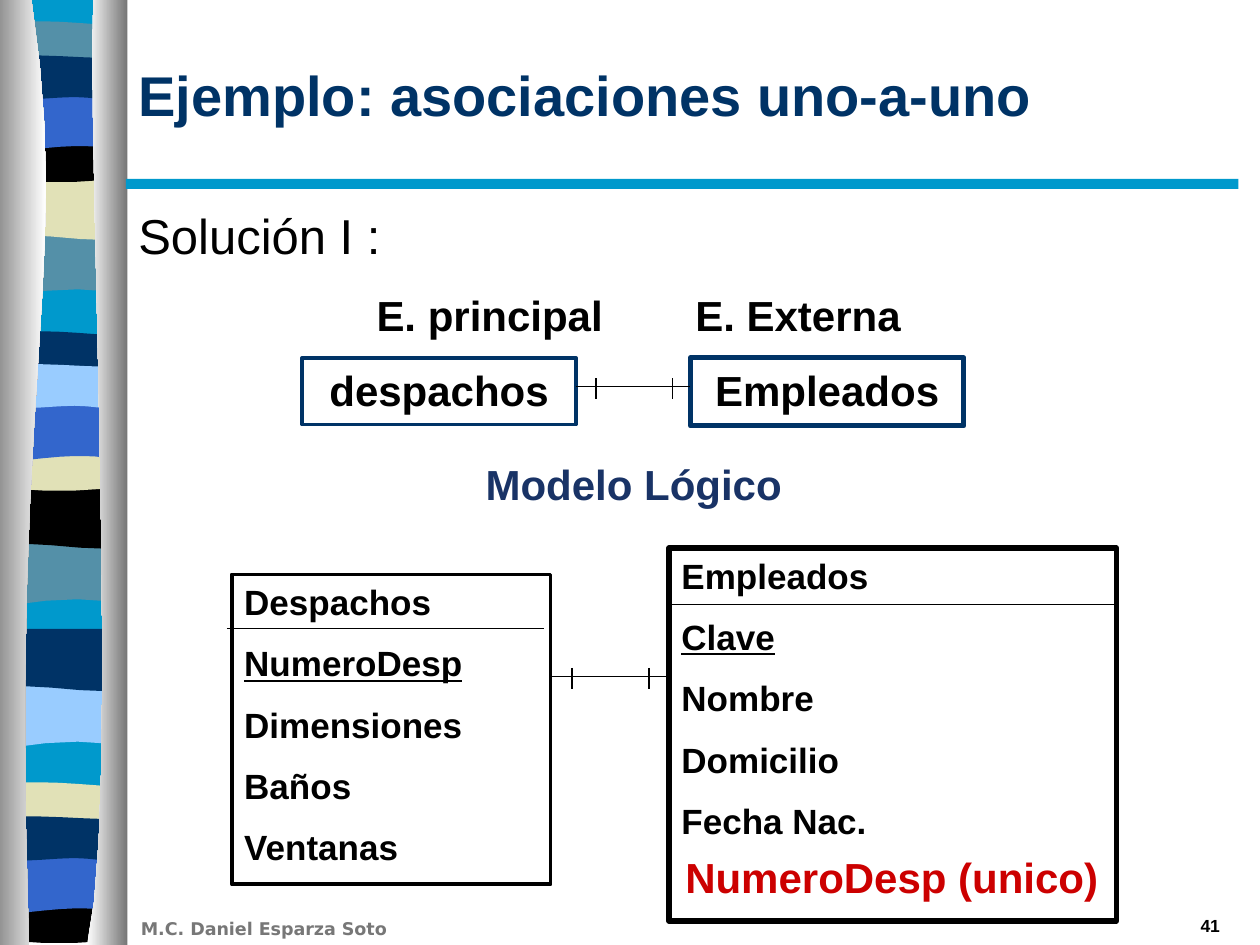
import pptx
import pptx.util
import pptx.dml.color
import pptx.enum.shapes
import pptx.enum.text
import pptx.oxml.ns
import lxml.etree

Inches = pptx.util.Inches
Pt = pptx.util.Pt
ALIGN = pptx.enum.text.PP_ALIGN
ANCHOR = pptx.enum.text.MSO_ANCHOR
RECT = pptx.enum.shapes.MSO_SHAPE.RECTANGLE
STRAIGHT = pptx.enum.shapes.MSO_CONNECTOR.STRAIGHT


def rgb(color):
    return pptx.dml.color.RGBColor.from_string(color)


def add_text(text, x, y, w, h, size=24, color="000000", bold=True, font="Arial",
             align=ALIGN.LEFT, anchor=ANCHOR.TOP, border=None, weight=0,
             space=0, underlined=()):
    """Put lines of text in a plain text box, or in a rectangle if bordered."""
    box = [Inches(v) for v in (x, y, w, h)]
    if border:
        sp = s.shapes.add_shape(RECT, *box)
        sp.shadow.inherit = False
        sp.fill.background()
        sp.line.color.rgb = rgb(border)
        sp.line.width = Pt(weight)
    else:
        sp = s.shapes.add_textbox(*box)
    tf = sp.text_frame
    tf.word_wrap = True
    tf.vertical_anchor = anchor
    for i, line in enumerate(text.split("\n")):
        p = tf.paragraphs[0] if i == 0 else tf.add_paragraph()
        p.alignment = align
        if i > 0:
            p.space_before = Pt(space)
        r = p.add_run()
        r.text = line
        r.font.size = Pt(size)
        r.font.name = font
        r.font.bold = bold
        r.font.underline = line in underlined
        r.font.color.rgb = rgb(color)


def add_outline(points, dy=0, steps=5):
    """Closed outline: pairs are corners, sextuples are Bezier curves."""
    x0, y0 = points[0]
    path = []
    for seg in points[1:]:
        if len(seg) == 2:
            path.append(seg)
        else:
            x1, y1, x2, y2, x3, y3 = seg
            for t in [n / steps for n in range(1, steps + 1)]:
                u = 1 - t
                a, b, c, d = u**3, 3 * u * u * t, 3 * u * t * t, t**3
                path.append((a * x0 + b * x1 + c * x2 + d * x3,
                             a * y0 + b * y1 + c * y2 + d * y3))
        x0, y0 = seg[-2:]
    emu = [(Inches(x), Inches(y + dy)) for x, y in [points[0]] + path]
    fb = s.shapes.build_freeform(*emu[0])
    fb.add_line_segments(emu[1:], close=True)
    sp = fb.convert_to_shape()
    sp.shadow.inherit = False
    sp.line.fill.background()
    return sp


prs = pptx.Presentation()
prs.slide_width, prs.slide_height = Inches(10), Inches(7.5)
s = prs.slides.add_slide(prs.slide_layouts[6])

# Wavy side strip: six wave outlines, reused at several heights
waves = {
    "base": [(.98, 0), (.98, 7.47), (-.05, 7.47), (-.05, 0)],
    "deep": [(.98, 0), (.98, .47), (.27, .39, .13, .55, -.05, .47), (-.05, 0)],
    "swell": [(.98, 0), (.98, .47), (.81, .55, .27, .41, -.04, .47), (-.04, 0)],
    "crest": [(.98, 0), (.98, .24), (.81, .29, .13, .29, -.05, .24), (-.05, 0),
              (.02, -.05, .18, -.04, .35, -.04), (.52, -.04, .85, -.01, .98, 0)],
    "dip": [(.98, 0), (.98, .32), (.81, .38, .13, .38, -.04, .32), (-.04, 0),
            (.59, .05, .77, 0, .98, 0)],
    "rise": [(.98, 0), (.98, .47), (.82, .42, .76, .42, .59, .42),
             (.42, .42, .11, .47, -.04, .47), (-.04, 0)],
    "roll": [(.98, 0), (.98, .31), (.92, .36, .76, .31, .59, .31),
             (.42, .31, .06, .36, -.05, .31), (-.05, 0),
             (.1, -.05, .65, 0, .82, 0)],
}
bands = [
    ("base", 0, "0099CC"),
    ("deep", 1.85, "5490A8"), ("swell", 1.41, "E1E1B7"), ("crest", .21, "5490A8"),
    ("dip", 1.08, "000000"), ("rise", .74, "3366CC"), ("roll", .46, "003366"),
    ("deep", 4.31, "5490A8"), ("swell", 3.86, "000000"), ("crest", 2.67, "003366"),
    ("dip", 3.53, "E1E1B7"), ("rise", 3.2, "3366CC"), ("roll", 2.91, "99CCFF"),
    ("deep", 5.44, "99CCFF"), ("swell", 4.99, "003366"), ("crest", 6.25, "E1E1B7"),
    ("dip", 7.12, "000000"), ("rise", 6.79, "3366CC"), ("roll", 6.5, "003366"),
]
for wave, y, color in bands:
    sp = add_outline(waves[wave], y)
    sp.fill.solid()
    sp.fill.fore_color.rgb = rgb(color)

# Grey curtains on both sides of the strip
curtains = [
    ([(.25, 0), (.58, 2.16, .07, 2.96, .23, 7.5), (-.1, 7.5), (-.1, 0)],
     ("767676", "FFFFFF")),
    ([(.74, 0), (.69, 1.25, .96, 6.46, .69, 7.5), (1.01, 7.5), (1.01, 0)],
     ("FFFFFF", "767676")),
]
for points, colors in curtains:
    sp = add_outline(points, steps=12)
    sp.fill.gradient()
    sp.fill.gradient_angle = 0
    for stop, position, color in zip(sp.fill.gradient_stops, (0, 1), colors):
        stop.position = position
        stop.color.rgb = rgb(color)

# Bar under the title
sp = s.shapes.add_shape(RECT, Inches(1), Inches(1.42), Inches(8.83), Inches(.08))
sp.shadow.inherit = False
sp.fill.solid()
sp.fill.fore_color.rgb = rgb("0099CC")
sp.line.fill.background()

# Footer, title and lead-in
add_text("M.C. Daniel Esparza Soto", 1.02, 7.24, 2.83, .27, size=10,
         color="777777", font="DejaVu Sans")
add_text("41", 7.7, 7.21, 2.08, .26, size=10, align=ALIGN.RIGHT)
add_text("Ejemplo: asociaciones uno-a-uno", 1, .12, 8.78, 1.25, size=32,
         color="003366", anchor=ANCHOR.MIDDLE)
add_text("Solución I :", 1, 1.58, 8.78, .6, size=28, bold=False)

# Entity diagram
add_text("Empleados", 5.48, 2.84, 2.17, .54, align=ALIGN.CENTER,
         border="003366", weight=3)
add_text("despachos", 2.4, 2.84, 2.17, .53, align=ALIGN.CENTER,
         border="003366", weight=2.25)
add_text("E. principal", 2.89, 2.25, 2.4, .5)
add_text("E. Externa", 5.42, 2.25, 2.4, .5)
add_text("Modelo Lógico", 2.28, 3.59, 5.5, .5, color="193366", align=ALIGN.CENTER)

# Logical model tables
add_text("Despachos\nNumeroDesp\nDimensiones\nBaños\nVentanas", 1.84, 4.56, 2.53, 2.46,
         size=20, space=11, border="000000", weight=2.25, underlined=["NumeroDesp"])
add_text("Empleados\nClave\nNombre\nDomicilio\nFecha Nac.", 5.31, 4.35, 3.55, 2.96,
         size=20, space=11, border="000000", weight=3, underlined=["Clave"])
add_text("NumeroDesp (unico)", 5.34, 6.71, 3.51, .5, color="CC0000")

# Header rules, then one-to-one links with a tick near each end
lines = [(1.8, 4.99, 4.32, 4.99), (5.33, 4.8, 8.88, 4.8)]
for x, y in [(4.57, 3.07), (4.38, 5.37)]:
    lines.append((x, y, x + .91, y))
    lines += [(x + dx, y - .07, x + dx, y + .1) for dx in (.16, .77)]
for ends in lines:
    cx = s.shapes.add_connector(STRAIGHT, *[Inches(v) for v in ends])
    cx.line.color.rgb = rgb("000000")
    cx.line.width = Pt(.75)
    lxml.etree.SubElement(cx._element.spPr, pptx.oxml.ns.qn("a:effectLst"))

prs.save("out.pptx")
